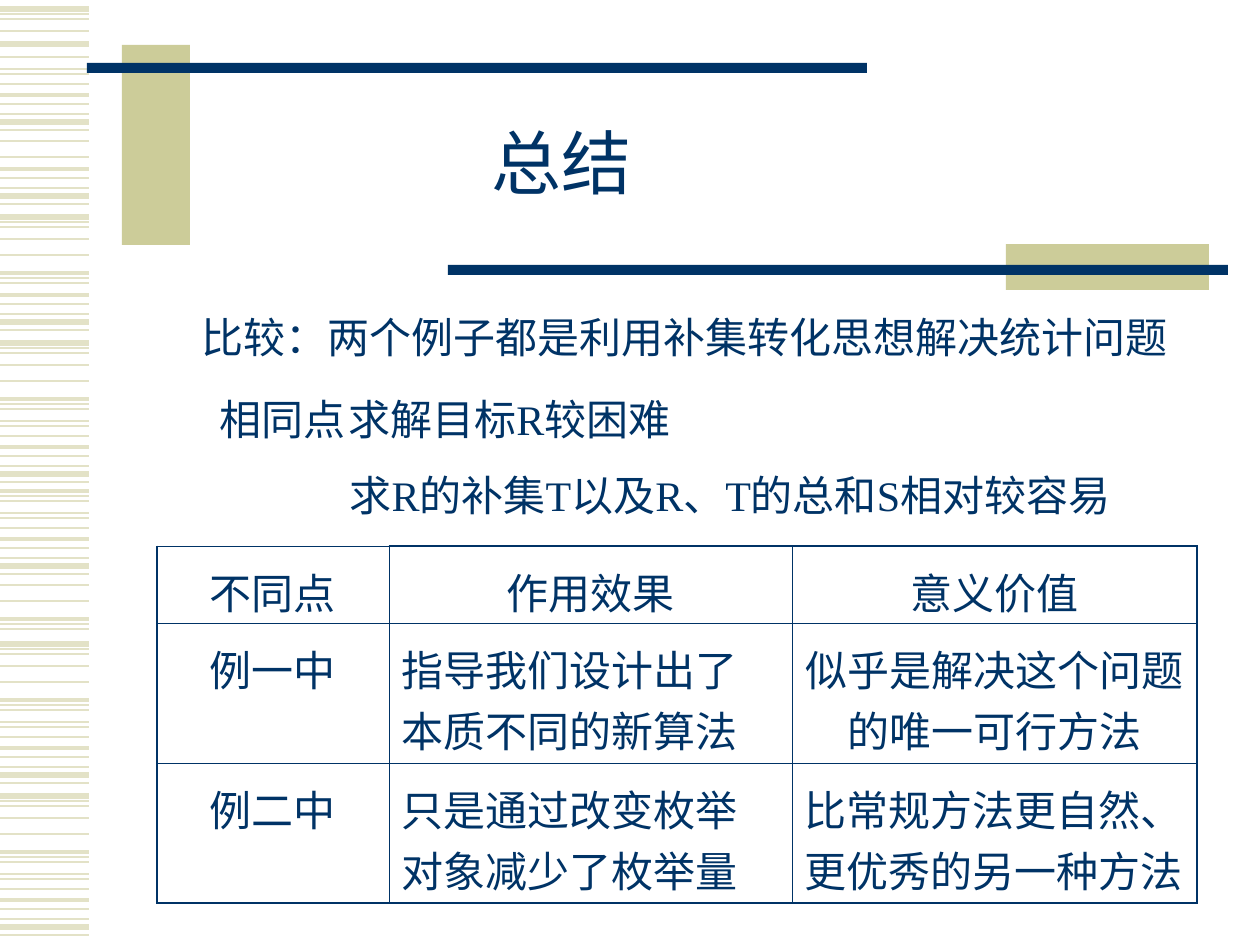
"""Build the summary slide with its striped margin and comparison table."""
from lxml import etree
from pptx import Presentation
from pptx.dml.color import RGBColor
from pptx.enum import shapes, text
from pptx.oxml import ns
from pptx.util import Pt

PX = 914400 // 126
HUE = {"navy": "003366", "sand": "CCCC99", "pale": "E3E2C7"}
LEFT, MID, JUST = text.PP_ALIGN.LEFT, text.PP_ALIGN.CENTER, text.PP_ALIGN.JUSTIFY


def put(item, form):
    for key, val in form.items():
        setattr(item, key, val)


def write(para, words, size=24, align=LEFT):
    para.alignment = align
    run = para.add_run()
    put(run, {"text": words})
    put(run.font, {"size": Pt(size), "name": "Times New Roman"})
    run.font.color.rgb = RGBColor.from_string(HUE["navy"])


deck = Presentation()
put(deck, {"slide_width": 1260 * PX, "slide_height": 945 * PX})
slide = deck.slides.add_slide(deck.slide_layouts[6])

# fmt: off
band = [(0, 3), (5, 0.75), (10, 1), (22, 1), (38, 1), (56, 2.25), (61, 0.75), (66, 1.5),
        (78, 0.75), (83, 1.5), (93, 1), (104, 2.25), (113, 1.5), (123, 0.75), (131, 3), (139, 1.5)]
# fmt: on
runs = [(796, 0, 16), (644, 0, 16), (563, 3, 8), (435, 5, 16), (343, 0, 16), (217, 0, 8),
        (191, 11, 16), (119, 3, 5), (65, 11, 16), (-9, 7, 16), (9, 0, 4), (-87, 14, 15)]
for top, first, last in runs:
    for step, weight in band[first:last]:
        y = (top + step) * PX
        line = slide.shapes.add_connector(shapes.MSO_CONNECTOR.STRAIGHT, 0, y, 89 * PX, y)
        line.line.width = Pt(weight)
        line.line.color.rgb = RGBColor.from_string(HUE["pale"])
        etree.SubElement(line._element.spPr, ns.qn("a:effectLst"))

bars = [("sand", 122, 45, 68, 200), ("navy", 87, 63, 780, 10),
        ("sand", 1006, 244, 203, 46), ("navy", 448, 265, 780, 10)]
for hue, *rect in bars:
    bar = slide.shapes.add_shape(shapes.MSO_SHAPE.RECTANGLE, *[n * PX for n in rect])
    bar.shadow.inherit = False
    bar.fill.solid()
    bar.fill.fore_color.rgb = RGBColor.from_string(HUE[hue])
    bar.line.fill.background()

frames = []
for rect in [(399, 126, 325, 84), (189, 305, 998, 63), (147, 387, 1040, 140)]:
    frame = slide.shapes.add_textbox(*[n * PX for n in rect]).text_frame
    frame.word_wrap = True
    frames.append(frame)
title, lead, same = frames
title.vertical_anchor = text.MSO_ANCHOR.MIDDLE
title.paragraphs[0].line_spacing = 0.85
write(title.paragraphs[0], "总结", 40, MID)
write(lead.paragraphs[0], "比较：两个例子都是利用补集转化思想解决统计问题", 24, JUST)

props = same.paragraphs[0]._p.get_or_add_pPr()
put_in = {"marL": 0, "indent": 60 * PX}
for key, val in put_in.items():
    props.set(key, str(val))
tabs = etree.SubElement(props, ns.qn("a:tabLst"))
etree.SubElement(tabs, ns.qn("a:tab"), pos=str(395 * PX), algn="l")
write(same.paragraphs[0], "相同点\t求解目标R较困难")
goal = same.add_paragraph()
goal._p.get_or_add_pPr().set("marL", str(126 * PX))
goal.space_before = Pt(15)
write(goal, "求R的补集T以及R、T的总和S相对较容易", 24, MID)

rows = [
    ["不同点", "作用效果", "意义价值"],
    ["例一中", "指导我们设计出了本质不同的新算法", "似乎是解决这个问题的唯一可行方法"],
    ["例二中", "只是通过改变枚举对象减少了枚举量", "比常规方法更自然、更优秀的另一种方法"],
]
wide, high = [232, 403, 405], [77, 140, 140]
grid = slide.shapes.add_table(3, 3, 157 * PX, 546 * PX, sum(wide) * PX, sum(high) * PX).table
put(grid, {"first_row": False, "horz_banding": False})
for col, size in zip(grid.columns, wide):
    col.width = size * PX
for row, size in zip(grid.rows, high):
    row.height = size * PX
for r, row in enumerate(rows):
    for c, words in enumerate(row):
        cell = grid.cell(r, c)
        put(cell, {"margin_top": 15 * PX, "margin_bottom": 0})
        write(cell.text_frame.paragraphs[0], words, 24, LEFT if (r, c) in [(1, 1), (2, 1), (2, 2)] else MID)
        thick = {"lnL": c == 0, "lnR": c == 2, "lnT": r == 0 and c > 0, "lnB": r == 2}
        for side, bold in thick.items():
            edge = etree.SubElement(cell._tc.get_or_add_tcPr(), ns.qn("a:" + side), w=str(Pt(1.08 if bold else 0.45)))
            fill = etree.SubElement(edge, ns.qn("a:solidFill"))
            etree.SubElement(fill, ns.qn("a:srgbClr"), val=HUE["navy"])
        cell.fill.background()

deck.save("out.pptx")
